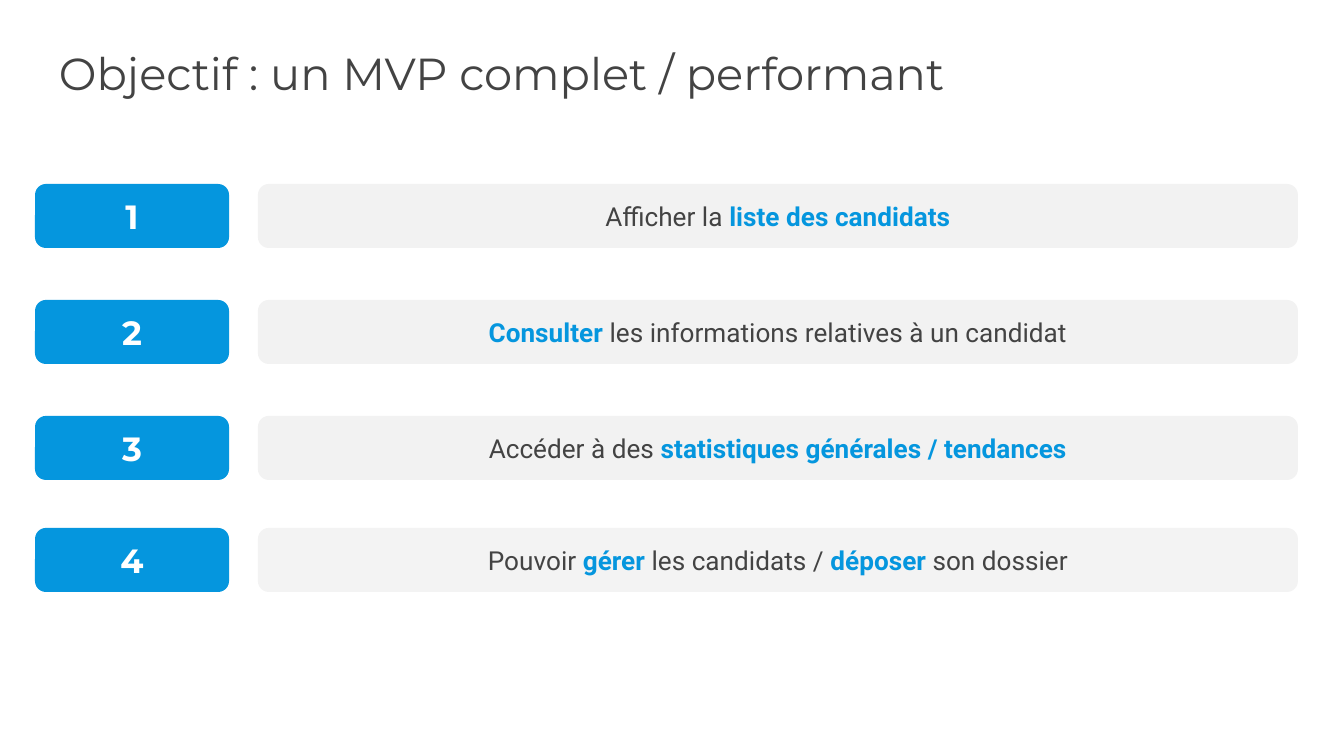
from dataclasses import dataclass

from pptx import Presentation
from pptx.dml.color import RGBColor
from pptx.enum.shapes import MSO_SHAPE as Shape
from pptx.enum.text import MSO_ANCHOR as Anchor, PP_ALIGN as Align
from pptx.util import Pt

EMU_PER_PX = 6804  # 134.4 px to the inch


@dataclass(frozen=True)
class Theme:
    ink: str = "434343"
    accent: str = "0596DE"
    panel: str = "F2F2F2"
    last_panel: str = "F3F3F3"
    white: str = "FFFFFF"
    heading_font: str = "Montserrat"
    body_font: str = "Roboto"
    title_size: int = 24
    number_size: int = 18
    body_size: int = 14


THEME = Theme()
TITLE = "Objectif : un MVP complet / performant"

# Each goal is a list of (text, emphasised) pieces
GOALS = [
    [("Afficher la ", False), ("liste des candidats", True)],
    [("Consulter ", True), ("les informations relatives à un candidat", False)],
    [("Accéder à des ", False), ("statistiques générales / tendances", True)],
    [("Pouvoir ", False), ("gérer ", True), ("les candidats / ", False),
     ("déposer", True), (" son dossier", False)],
]
ROW_TOPS = [184, 300, 416, 528]
ROW_LEFT, ROW_WIDTH, ROW_HEIGHT = 35, 1263, 64
NUMBER_WIDTH, GAP = 194, 29


def px(length):
    return length * EMU_PER_PX


def style_font(font, name, size, color, bold=False):
    font.name = name
    font.size = Pt(size)
    font.bold = bold
    font.color.rgb = RGBColor.from_string(color)


def set_frame(frame, inset):
    frame.word_wrap = True
    frame.vertical_anchor = Anchor.MIDDLE
    frame.margin_left = frame.margin_right = px(inset)
    frame.margin_top = frame.margin_bottom = px(inset)


def add_title(page, left, top, width, height):
    title = page.shapes.title
    title.left, title.top = px(left), px(top)
    title.width, title.height = px(width), px(height)
    set_frame(title.text_frame, 13)
    title.text_frame.text = TITLE
    para = title.text_frame.paragraphs[0]
    para.alignment = Align.LEFT
    style_font(para.font, THEME.heading_font, THEME.title_size, THEME.ink)


def add_card(page, left, top, width, height, fill):
    """Draw a rounded card and return its centred paragraph."""
    card = page.shapes.add_shape(
        Shape.ROUNDED_RECTANGLE, px(left), px(top), px(width), px(height))
    card.adjustments[0] = 0.17
    card.shadow.inherit = False
    card.fill.solid()
    card.fill.fore_color.rgb = RGBColor.from_string(fill)
    card.line.fill.background()
    set_frame(card.text_frame, 7)
    para = card.text_frame.paragraphs[0]
    para.alignment = Align.CENTER
    return para


def add_goal_row(page, left, top, width, height, number, goal, panel):
    # Number badge
    para = add_card(page, left, top, NUMBER_WIDTH, height, THEME.accent)
    para.text = str(number)
    style_font(para.font, THEME.heading_font, THEME.number_size, THEME.white, True)

    # Goal panel
    offset = NUMBER_WIDTH + GAP
    para = add_card(page, left + offset, top, width - offset, height, panel)
    for text, emphasised in goal:
        span = para.add_run()
        span.text = text
        color = THEME.accent if emphasised else THEME.ink
        style_font(span.font, THEME.body_font, THEME.body_size, color, emphasised)


def main():
    deck = Presentation()
    deck.slide_width, deck.slide_height = px(1344), px(756)
    page = deck.slides.add_slide(deck.slide_layouts[5])  # title only

    add_title(page, 46, 30, 1252, 85)
    for number, (top, goal) in enumerate(zip(ROW_TOPS, GOALS), start=1):
        panel = THEME.last_panel if number == len(GOALS) else THEME.panel
        add_goal_row(page, ROW_LEFT, top, ROW_WIDTH, ROW_HEIGHT, number, goal, panel)

    deck.save("out.pptx")


if __name__ == "__main__":
    main()
